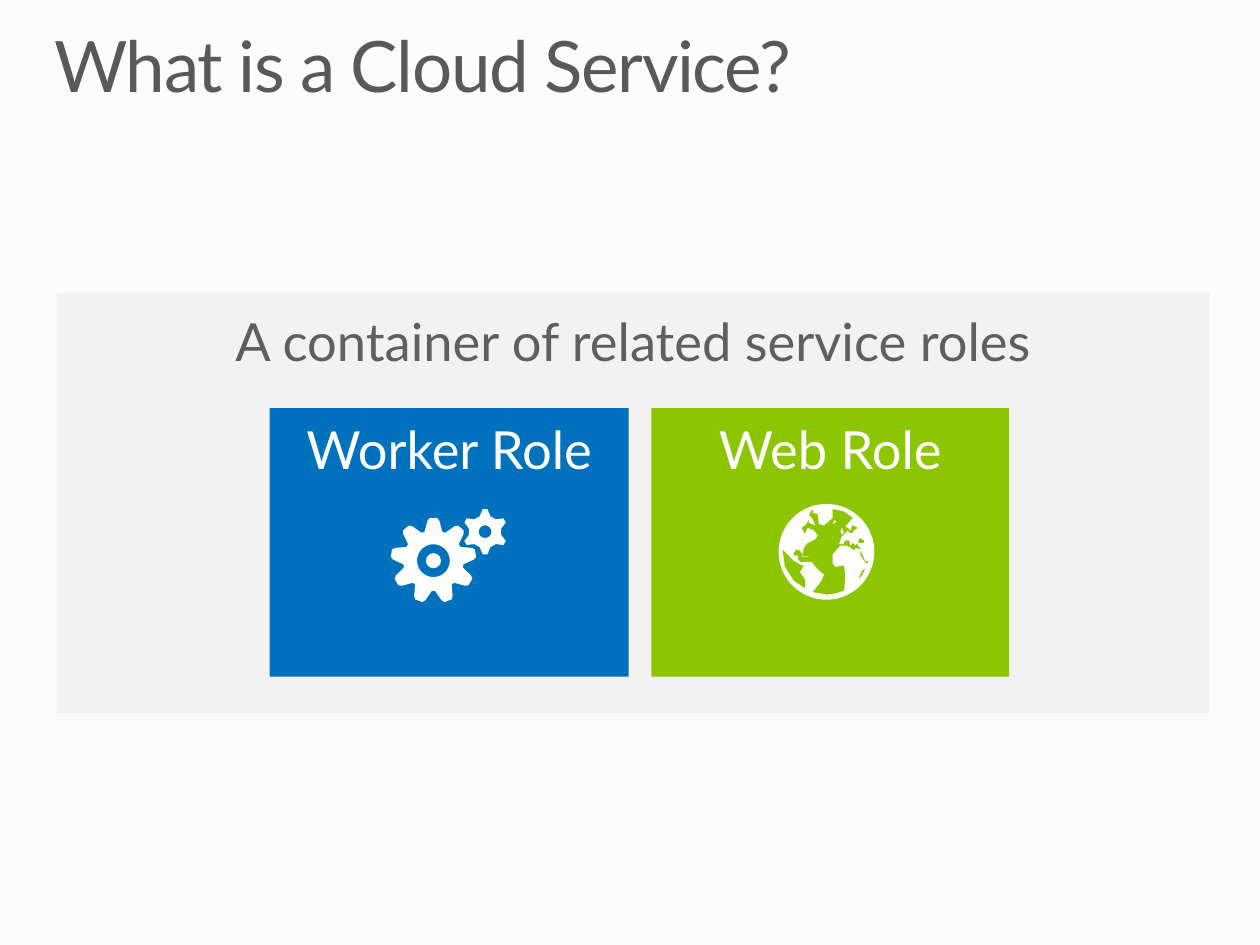
from math import cos, radians, sin

from pptx import Presentation
from pptx.dml.color import RGBColor
from pptx.enum.shapes import MSO_SHAPE
from pptx.enum.text import MSO_ANCHOR, PP_ALIGN
from pptx.util import Inches, Pt

THEME = {
    "font": "Lato",
    "background": "FCFCFC", "panel": "F2F2F2", "blue": "0071BC",
    "green": "8CC600", "white": "FFFFFF", "title": "595959", "body": "5F5F5F",
    "title_size": 40.5, "body_size": 30,
}

TITLE = ("What is a Cloud Service?", (0.43, 0.25, 9.15, 0.61))
PANEL = (0.45, 2.33, 9.15, 3.33)
CAPTION = ("A container of related service roles", (0.45, 2.45, 9.15, 0.51))
ROLES = [
    # label, colour, left, width
    ("Web Role", "green", 5.17, 2.84),
    ("Worker Role", "blue", 2.14, 2.85),
]
ROLE_TOP, ROLE_HEIGHT = 3.24, 2.13
LABEL_TOP, LABEL_HEIGHT = 3.37, 0.45

# Half a tooth as (degrees from its middle, radius), from tip to root.
GEARS = [
    {"center": (3.44, 4.45), "teeth": 9, "hole": 0.13, "hub": 0.06,
     "tooth": [(5, 0.34), (8.5, 0.32), (17, 0.24)]},
    {"center": (3.85, 4.22), "teeth": 6, "hole": 0.05, "hub": 0,
     "tooth": [(6, 0.18), (10, 0.16), (19, 0.13)]},
]

GLOBE_LEFT, GLOBE_TOP, GLOBE_RADIUS = 6.18, 4, 0.38
# Water and islands, in hundredths of an inch from the globe's top left corner.
GLOBE_AREAS = {
    "Atlantic": [
        (52, 69), (53, 58), (52, 49), (50, 49), (45, 50), (43, 47), (43, 40),
        (49, 33), (53, 33), (56, 34), (60, 37), (61, 35), (66, 36), (63, 33),
        (62, 31), (61, 33), (57, 28), (59, 31), (57, 33), (56, 29), (53, 29),
        (51, 32), (48, 32), (49, 29), (50, 26), (53, 23), (55, 21), (56, 23),
        (59, 23), (60, 21), (63, 19), (59, 17), (60, 14), (58, 18), (57, 21),
        (55, 19), (53, 18), (59, 11), (52, 6), (43, 4), (43, 11), (36, 17),
        (32, 16), (31, 8), (27, 7), (28, 5), (26, 5), (24, 9), (27, 12),
        (29, 17), (24, 15), (24, 12), (22, 16), (18, 19), (21, 24), (23, 19),
        (28, 21), (31, 25), (29, 28), (23, 31), (20, 35), (19, 40), (17, 37),
        (14, 36), (12, 39), (12, 41), (16, 41), (15, 43), (17, 46), (22, 46),
        (26, 46), (32, 53), (36, 56), (34, 61), (27, 70), (38, 72), (45, 71),
    ],
    "Indian Ocean": [(71, 45), (69, 46), (67, 41), (65, 37), (65, 41),
                     (69, 47), (71, 47)],
    "African coast": [(69, 51), (66, 53), (63, 61), (66, 57)],
    "Pacific": [(21, 67), (21, 60), (17, 54), (20, 49), (17, 48), (12, 45),
                (8, 41), (3, 36), (5, 50), (12, 61)],
    "Iceland": [(43, 16), (46, 14), (44, 13)],
    "Baltic": [(50, 19), (52, 23), (50, 24), (49, 22)],
    "Caspian Sea": [(63, 31), (64, 27), (68, 29), (68, 31)],
    "Cuba": [(18, 41), (24, 42), (19, 42)],
}


def color(name):
    return RGBColor.from_string(THEME[name])


def paint(shape, name):
    shape.shadow.inherit = False
    shape.fill.solid()
    shape.fill.fore_color.rgb = color(name)
    shape.line.fill.background()


def place(shape, box):
    for attribute, value in zip(("left", "top", "width", "height"), box):
        setattr(shape, attribute, Inches(value))


def add_rectangle(slide, box, name):
    paint(slide.shapes.add_shape(MSO_SHAPE.RECTANGLE, *map(Inches, box)), name)


def write(shape, text, name, size, align, line_spacing=1.0):
    frame = shape.text_frame
    frame.text = text
    frame_format = {"word_wrap": True, "vertical_anchor": MSO_ANCHOR.TOP,
                    "margin_left": 0, "margin_top": 0,
                    "margin_right": 0, "margin_bottom": 0}
    for attribute, value in frame_format.items():
        setattr(frame, attribute, value)
    paragraph = frame.paragraphs[0]
    paragraph.alignment = align
    paragraph.line_spacing = line_spacing
    font = paragraph.runs[0].font
    font.name, font.size = THEME["font"], Pt(THEME[size])
    font.color.rgb = color(name)
    return paragraph.runs[0]


def add_label(slide, text, box, name, line_spacing=1.0):
    shape = slide.shapes.add_textbox(*map(Inches, box))
    write(shape, text, name, "body_size", PP_ALIGN.CENTER, line_spacing)


def polar(center, degrees, radius):
    """Point at a clockwise angle from straight up."""
    angle = radians(degrees)
    return center[0] + radius * sin(angle), center[1] - radius * cos(angle)


def circle(center, radius):
    return [polar(center, degrees, radius) for degrees in range(0, 360, 5)]


def gear_outline(center, teeth, tooth):
    profile = [(-angle, radius) for angle, radius in reversed(tooth)] + tooth
    return [polar(center, 360 / teeth * index + angle, radius)
            for index in range(teeth) for angle, radius in profile]


def add_outline(slide, contours, name):
    """Draw closed contours as one shape; inner contours become holes."""
    contours = [[(Inches(x), Inches(y)) for x, y in contour] for contour in contours]
    builder = slide.shapes.build_freeform(*contours[0][0])
    for index, contour in enumerate(contours):
        if index:
            builder.move_to(*contour[0])
        builder.add_line_segments(contour[1:], close=True)
    paint(builder.convert_to_shape(), name)


def add_gear(slide, center, teeth, hole, hub, tooth):
    contours = [gear_outline(center, teeth, tooth), circle(center, hole)]
    add_outline(slide, contours, "white")
    if hub:
        box = (center[0] - hub, center[1] - hub, 2 * hub, 2 * hub)
        paint(slide.shapes.add_shape(MSO_SHAPE.OVAL, *map(Inches, box)), "white")


def add_globe(slide):
    center = GLOBE_LEFT + GLOBE_RADIUS, GLOBE_TOP + GLOBE_RADIUS
    areas = [[(GLOBE_LEFT + x / 100, GLOBE_TOP + y / 100) for x, y in area]
             for area in GLOBE_AREAS.values()]
    add_outline(slide, [circle(center, GLOBE_RADIUS)] + areas, "white")


def main():
    presentation = Presentation()
    presentation.slide_width, presentation.slide_height = Inches(10), Inches(7.5)
    slide = presentation.slides.add_slide(presentation.slide_layouts[5])
    slide.background.fill.solid()
    slide.background.fill.fore_color.rgb = color("background")

    text, box = TITLE
    place(slide.shapes.title, box)
    run = write(slide.shapes.title, text, "title", "title_size", PP_ALIGN.LEFT, 0.9)
    run.font._element.set("spc", "-80")

    add_rectangle(slide, PANEL, "panel")
    add_label(slide, *CAPTION, "body")
    for label, name, left, width in ROLES:
        add_rectangle(slide, (left, ROLE_TOP, width, ROLE_HEIGHT), name)
        add_label(slide, label, (left, LABEL_TOP, width, LABEL_HEIGHT), "white", 0.9)

    add_globe(slide)
    for gear in GEARS:
        add_gear(slide, **gear)
    presentation.save("out.pptx")


if __name__ == "__main__":
    main()
